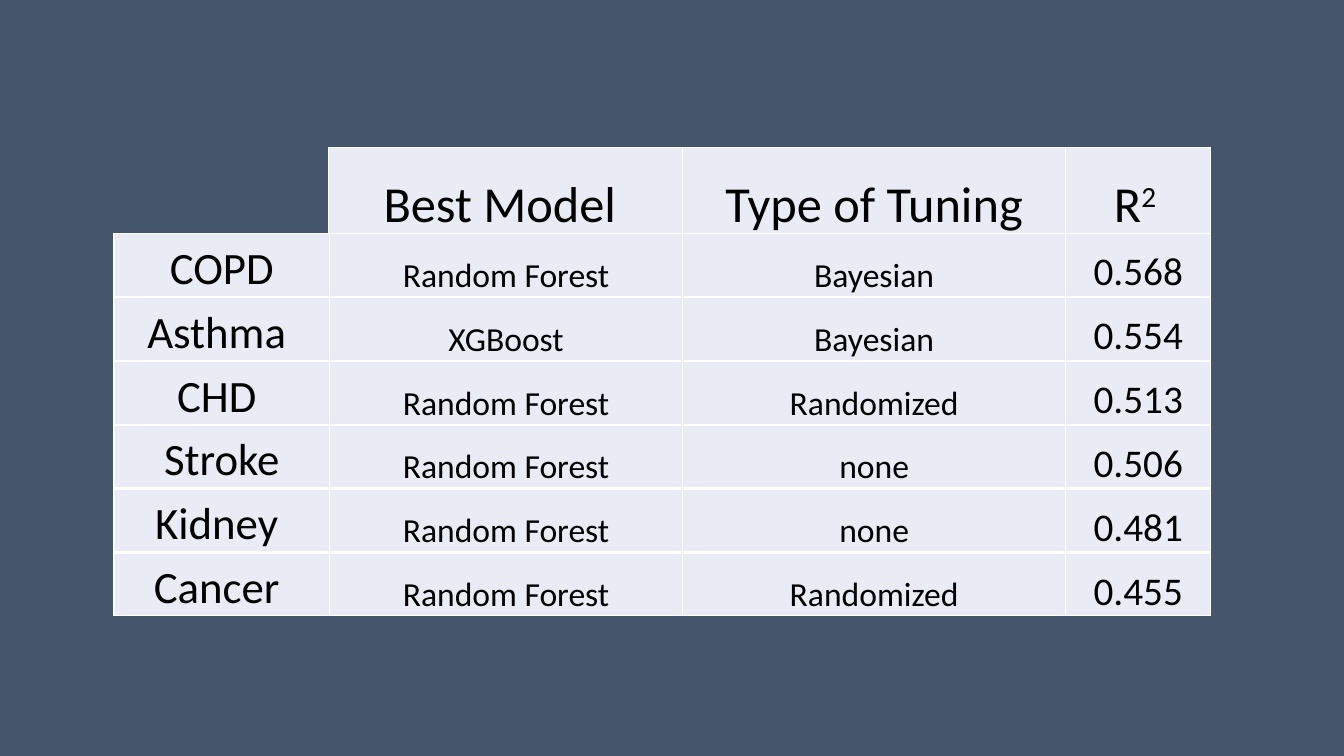
from dataclasses import dataclass

from lxml import etree
from pptx import Presentation
from pptx.dml.color import RGBColor
from pptx.enum.text import MSO_ANCHOR, PP_ALIGN
from pptx.oxml.ns import qn
from pptx.util import Inches, Pt

BOTTOM = MSO_ANCHOR.BOTTOM
CENTER = PP_ALIGN.CENTER


@dataclass(frozen=True)
class Theme:
    background: str = "44546A"
    cell: str = "E9EBF5"
    border: str = "FFFFFF"
    text: str = "000000"
    font: str = "Calibri"
    border_pt: float = 1
    header_pt: int = 36
    disease_pt: int = 32
    method_pt: int = 24
    score_pt: int = 28


THEME = Theme()
HEADER = ["Best Model ", "Type of Tuning", "R"]
HEADER_WIDTHS = [3.51, 3.8, 1.44]
RESULT_WIDTHS = [2.14, 3.5, 3.8, 1.44]
RESULTS = [
    ["COPD", "Random Forest", "Bayesian", "0.568"],
    ["Asthma ", "XGBoost", "Bayesian", "0.554"],
    ["CHD ", "Random Forest", "Randomized", "0.513"],
    ["Stroke", "Random Forest", "none", "0.506"],
    ["Kidney ", "Random Forest", "none", "0.481"],
    ["Cancer ", "Random Forest", "Randomized", "0.455"],
]


def set_borders(cell):
    tcPr = cell._tc.get_or_add_tcPr()
    for side in ("a:lnL", "a:lnR", "a:lnT", "a:lnB"):
        ln = etree.SubElement(tcPr, qn(side), w=str(Pt(THEME.border_pt)))
        fill = etree.SubElement(ln, qn("a:solidFill"))
        etree.SubElement(fill, qn("a:srgbClr"), val=THEME.border)


def format_run(r, size):
    r.font.name = THEME.font
    r.font.size = Pt(size)
    r.font.color.rgb = RGBColor.from_string(THEME.text)


def fill_cell(cell, text, size):
    set_borders(cell)
    cell.fill.solid()
    cell.fill.fore_color.rgb = RGBColor.from_string(THEME.cell)
    cell.vertical_anchor = BOTTOM
    cell.margin_left = cell.margin_right = cell.margin_top = Inches(0.01)
    cell.margin_bottom = 0
    p = cell.text_frame.paragraphs[0]
    p.text = text
    p.alignment = CENTER
    format_run(p.runs[0], size)


def add_row_table(s, left, top, height, widths, texts, sizes):
    """Add a one-row table and return it."""
    table = s.shapes.add_table(1, len(widths), Inches(left), Inches(top),
                               Inches(sum(widths)), Inches(height)).table
    table.first_row = table.horz_banding = False
    table.rows[0].height = Inches(height)
    for i, (width, text, size) in enumerate(zip(widths, texts, sizes)):
        table.columns[i].width = Inches(width)
        fill_cell(table.cell(0, i), text, size)
    return table


def add_header(s, left, top, height):
    table = add_row_table(s, left, top, height, HEADER_WIDTHS, HEADER,
                          [THEME.header_pt] * len(HEADER))
    r = table.cell(0, 2).text_frame.paragraphs[0].add_run()
    r.text = "2 "
    format_run(r, THEME.header_pt)
    r._r.get_or_add_rPr().set("baseline", "30000")


def add_results(s, left, top, height, row_height):
    """Spread one table per disease evenly over the given height."""
    pitch = (height - row_height) / (len(RESULTS) - 1)
    sizes = [THEME.disease_pt, THEME.method_pt, THEME.method_pt, THEME.score_pt]
    for i, texts in enumerate(RESULTS):
        add_row_table(s, left, top + i * pitch, row_height, RESULT_WIDTHS,
                      texts, sizes)


def main():
    prs = Presentation()
    prs.slide_width, prs.slide_height = Inches(13.33), Inches(7.5)
    s = prs.slides.add_slide(prs.slide_layouts[6])
    s.background.fill.solid()
    s.background.fill.fore_color.rgb = RGBColor.from_string(THEME.background)
    add_header(s, 3.26, 1.46, 0.88)
    add_results(s, 1.13, 2.32, 3.79, 0.62)
    prs.save("out.pptx")


if __name__ == "__main__":
    main()
